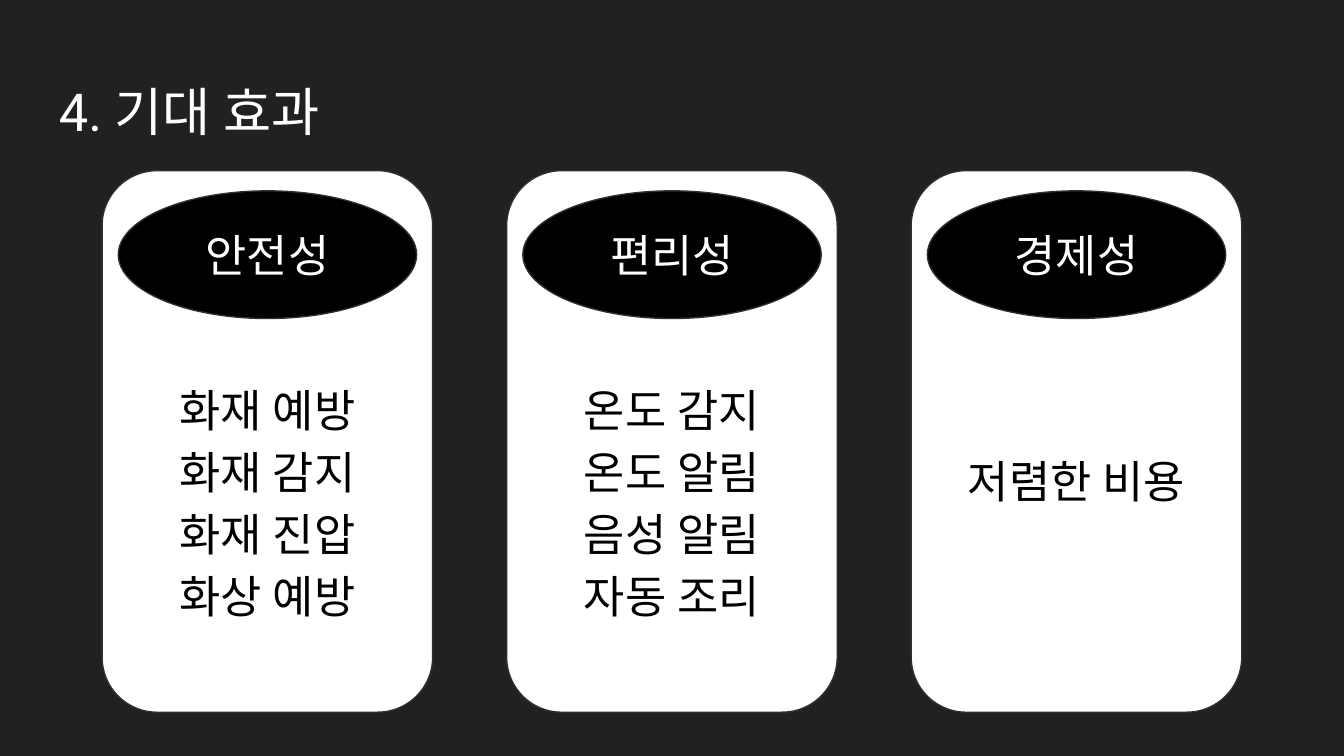
from dataclasses import dataclass

from lxml import etree
from pptx import Presentation
from pptx.dml.color import RGBColor
from pptx.enum.shapes import MSO_SHAPE
from pptx.enum.text import MSO_ANCHOR, PP_ALIGN
from pptx.oxml.ns import qn
from pptx.util import Inches, Pt

ROUNDED, OVAL = MSO_SHAPE.ROUNDED_RECTANGLE, MSO_SHAPE.OVAL
MIDDLE, BOTTOM = MSO_ANCHOR.MIDDLE, MSO_ANCHOR.BOTTOM
LEFT, CENTER = PP_ALIGN.LEFT, PP_ALIGN.CENTER


@dataclass(frozen=True)
class Theme:
    font: str = "Roboto"
    background: RGBColor = RGBColor(0x21, 0x21, 0x21)
    outline: RGBColor = RGBColor(0x30, 0x30, 0x30)
    light: RGBColor = RGBColor(0xFF, 0xFF, 0xFF)
    dark: RGBColor = RGBColor(0, 0, 0)
    title_size: Pt = Pt(28)
    body_size: Pt = Pt(24)


THEME = Theme()
SLIDE_WIDTH = Inches(10)
SLIDE_HEIGHT = SLIDE_WIDTH * 9 // 16
CARD_LEFT, CARD_STEP = 0.76, 3.01

# Heading, lines, anchor, top inset and bottom inset of each card
CARDS = [
    ("안전성", ["화재 예방", "화재 감지", "화재 진압", "화상 예방"], BOTTOM, 0.1, 0.55),
    ("편리성", ["온도 감지", "온도 알림", "음성 알림", "자동 조리"], BOTTOM, 0.1, 0.55),
    ("경제성", ["저렴한 비용"], MIDDLE, 0.68, 0.1),
]


def style_span(span, size, color):
    """Set the font for both Latin and Korean characters."""
    span.font.size = size
    span.font.color.rgb = color
    span.font.name = THEME.font
    properties = span.font._element if hasattr(span.font, "_element") else span._r.rPr
    etree.SubElement(properties, qn("a:ea"), typeface=THEME.font)


def write_lines(box, lines, size, color, align=CENTER, anchor=MIDDLE,
                top=0.1, bottom=0.1, spacing=1.0):
    frame = box.text_frame
    frame.word_wrap = True
    frame.vertical_anchor = anchor
    frame.margin_left = frame.margin_right = Inches(0.1)
    frame.margin_top, frame.margin_bottom = Inches(top), Inches(bottom)
    for index, line in enumerate(lines):
        para = frame.add_paragraph() if index else frame.paragraphs[0]
        para.alignment = align
        para.line_spacing = spacing
        span = para.add_run()
        span.text = line
        style_span(span, size, color)


def add_panel(page, kind, left, top, width, height, fill):
    panel = page.shapes.add_shape(
        kind, Inches(left), Inches(top), Inches(width), Inches(height))
    panel.shadow.inherit = False
    panel.fill.solid()
    panel.fill.fore_color.rgb = fill
    panel.line.color.rgb = THEME.outline
    panel.line.width = Pt(0.75)
    return panel


def add_title(page, text):
    box = page.shapes.add_textbox(
        Inches(0.34), Inches(0.49), Inches(9.32), Inches(0.63))
    write_lines(box, [text], THEME.title_size, THEME.light, align=LEFT,
                top=0.12, bottom=0.08)


def add_card(page, left, heading, lines, anchor, top, bottom):
    card = add_panel(page, ROUNDED, left, 1.27, 2.46, 4.03, THEME.light)
    write_lines(card, lines, THEME.body_size, THEME.dark, anchor=anchor,
                top=top, bottom=bottom, spacing=1.15 if len(lines) > 1 else 1.0)
    badge = add_panel(page, OVAL, left + 0.12, 1.42, 2.22, 0.95, THEME.dark)
    write_lines(badge, [heading], THEME.body_size, THEME.light)


def main():
    deck = Presentation()
    deck.slide_width, deck.slide_height = SLIDE_WIDTH, SLIDE_HEIGHT
    page = deck.slides.add_slide(deck.slide_layouts[6])
    page.background.fill.solid()
    page.background.fill.fore_color.rgb = THEME.background

    add_title(page, "4. 기대 효과")
    for index, card in enumerate(CARDS):
        add_card(page, CARD_LEFT + index * CARD_STEP, *card)
    deck.save("out.pptx")


if __name__ == "__main__":
    main()
